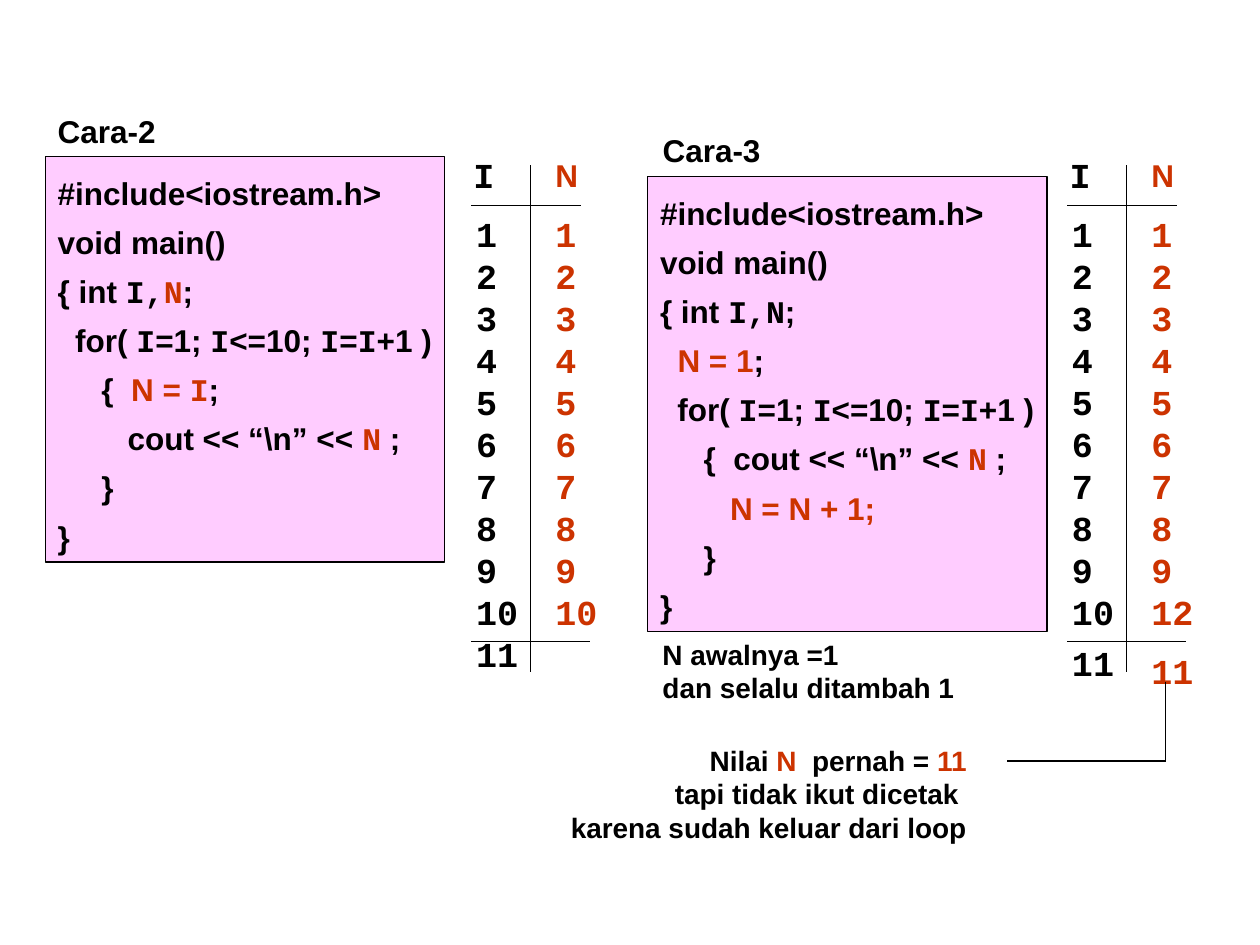
from pptx import Presentation
from pptx.dml.color import RGBColor
from pptx.enum.shapes import MSO_CONNECTOR, MSO_SHAPE
from pptx.enum.text import MSO_ANCHOR, MSO_AUTO_SIZE, PP_ALIGN
from pptx.oxml import parse_xml
from pptx.util import Inches, Pt

RECT = MSO_SHAPE.RECTANGLE
LINE = MSO_CONNECTOR.STRAIGHT
TOP = MSO_ANCHOR.TOP
GROW = MSO_AUTO_SIZE.SHAPE_TO_FIT_TEXT
LEFT, RIGHT = PP_ALIGN.LEFT, PP_ALIGN.RIGHT

COLORS = {"black": "000000", "red": "CC3300", "pink": "FFCCFF"}
SANS, MONO = "Arial", "Courier New"
NO_FX = '<a:effectLst xmlns:a="http://schemas.openxmlformats.org/drawingml/2006/main"/>'

# A line is a list of (text, style) runs; style m is monospace, r is red
HEAD = [[("#include<iostream.h>", "")], [("void main()", "")]]
LOOP = [("  for( ", ""), ("I", "m"), ("=1; ", ""), ("I", "m"), ("<=10; ", ""),
        ("I", "m"), ("=", ""), ("I", "m"), ("+1 )", "")]
TAIL = [[("     }", "")], [("}", "")]]

CODE_2 = HEAD + [
    [("{ int ", ""), ("I,", "m"), ("N", "mr"), (";", "")],
    LOOP,
    [("     {  ", ""), ("N = ", "r"), ("I", "mr"), (";", "")],
    [("        cout << “\\n” << ", ""), ("N", "mr"), (" ;", "")],
] + TAIL
CODE_3 = HEAD + [
    [("{ int ", ""), ("I,N", "m"), (";", "")],
    [("  ", ""), ("N = 1", "r"), (";", "")],
    LOOP,
    [("     {  cout << “\\n” << ", ""), ("N", "mr"), (" ;", "")],
    [("        ", ""), ("N = N + 1;", "r")],
] + TAIL

# Title, title place, code, code box
PANELS = [
    ("Cara-2", (0.36, 0.84, 0.98, 0.4), CODE_2, (0.36, 1.24, 3.17, 3.22)),
    ("Cara-3", (5.16, 0.99, 0.98, 0.4), CODE_3, (5.14, 1.4, 3.17, 3.61)),
]

# Left edge, then values, height and last line spacing of columns I and N
ONES = [str(n) for n in range(1, 10)]
TRACES = [
    (3.74, (ONES + ["10", "11"], 3.77, 1), (ONES + ["10"], 3.44, 1)),
    (8.47, (ONES + ["10", "11"], 3.84, 1.2), (ONES + ["12", "11"], 3.9, 1.4)),
]

START = [[("N awalnya =1", "")], [("dan selalu ditambah 1", "")]]
AFTER = [
    [("Nilai ", ""), ("N", "r"), ("  pernah = ", ""), ("11", "r")],
    [("tapi tidak ikut dicetak ", "")],
    [("karena sudah keluar dari loop", "")],
]


def rgb(name):
    return RGBColor.from_string(COLORS[name])


def write(shape, lines, size, align=LEFT, gap=None):
    frame = shape.text_frame
    frame.word_wrap = False
    frame.auto_size = GROW
    frame.vertical_anchor = TOP
    for i, line in enumerate(lines):
        para = frame.add_paragraph() if i else frame.paragraphs[0]
        para.alignment = align
        if gap:
            para.line_spacing = gap
        for text, style in line:
            run = para.add_run()
            run.text = text
            font = run.font
            font.size, font.bold = Pt(size), True
            font.name = MONO if "m" in style else SANS
            font.color.rgb = rgb("red" if "r" in style else "black")
    return frame


def label(place, lines, size, align=LEFT):
    box = slide.shapes.add_textbox(*map(Inches, place))
    return write(box, lines, size, align)


def rule(*ends):
    line = slide.shapes.add_connector(LINE, *map(Inches, ends))
    line.line.color.rgb = rgb("black")
    line.line.width = Pt(0.75)
    line._element.spPr.append(parse_xml(NO_FX))


def panel(title, spot, code, place):
    box = slide.shapes.add_shape(RECT, *map(Inches, place))
    box.shadow.inherit = False
    box.fill.solid()
    box.fill.fore_color.rgb = rgb("pink")
    box.line.color.rgb = rgb("black")
    box.line.width = Pt(0.75)
    write(box, code, 18, gap=1.3)
    label(spot, [[(title, "")]], 18)


def trace(left, count, value):
    # Rules of the table
    rule(left, 1.63, left + 0.87, 1.63)
    rule(left + 0.47, 1.31, left + 0.47, 5.33)
    rule(left, 5.09, left + 0.94, 5.09)
    # Column heads
    label((left - 0.08, 1.17, 0.36, 0.44), [[("I", "m")]], 20)
    label((left + 0.57, 1.19, 0.38, 0.4), [[("N", "r")]], 18)
    # Columns of values, wide enough for two digits
    for shift, style, (items, high, gap) in ((-0.06, "m", count), (0.57, "mr", value)):
        lines = [[(item, style)] for item in items]
        frame = label((left + shift, 1.64, 0.56, high), lines, 20)
        if gap > 1:
            frame.paragraphs[-1].line_spacing = gap


prs = Presentation()
prs.slide_width, prs.slide_height = Inches(10), Inches(7.5)
slide = prs.slides.add_slide(prs.slide_layouts[6])

for item in PANELS:
    panel(*item)
for item in TRACES:
    trace(*item)

# Remarks, with the elbow from the last value of N
rule(9.25, 5.41, 9.25, 6.04)
rule(9.25, 6.04, 7.99, 6.04)
label((4.43, 5.85, 3.34, 0.9), AFTER, 16, RIGHT)
label((5.16, 5.01, 2.56, 0.64), START, 16)

prs.save("out.pptx")
